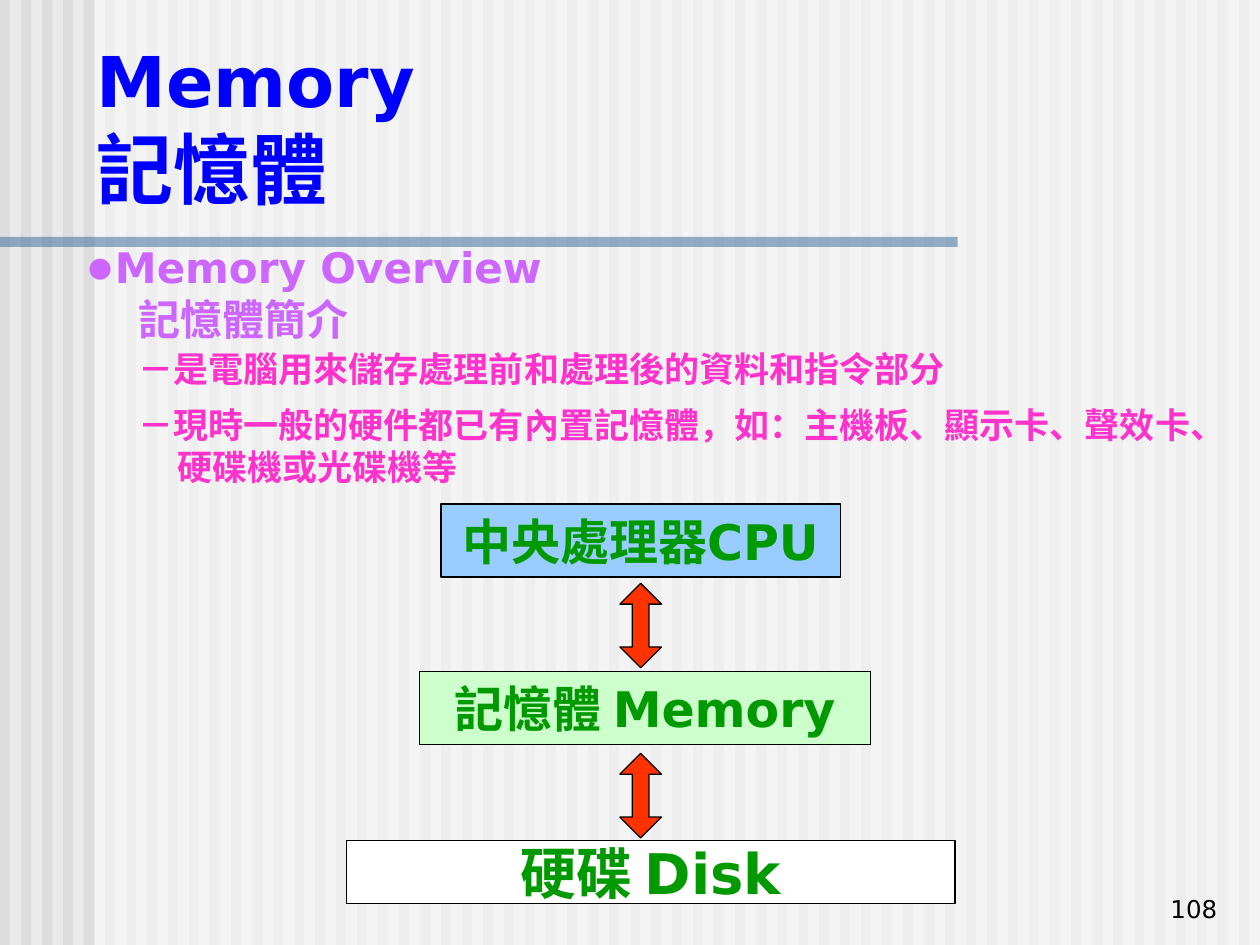
from lxml import etree
from pptx import Presentation
from pptx.dml.color import RGBColor
from pptx.enum.shapes import MSO_SHAPE as SHAPE
from pptx.enum.text import MSO_ANCHOR as ANCHOR, MSO_AUTO_SIZE as FIT, PP_ALIGN as ALIGN
from pptx.oxml.ns import qn
from pptx.util import Inches, Pt


def color(hex_code):
    return RGBColor.from_string(hex_code)


class Deck:
    font = "DejaVu Sans"
    line = "000000"
    label = "009900"

    def __init__(self, prs, background):
        self.s = prs.slides.add_slide(prs.slide_layouts[6])
        self.s.background.fill.solid()
        self.s.background.fill.fore_color.rgb = color(background)

    def style(self, r, size, hex_code, bold=True, font=None):
        r.font.name = font or self.font
        r.font.size = Pt(size)
        r.font.bold = bold
        r.font.color.rgb = color(hex_code)

    def shape(self, kind, box, fill, outlined=False, alpha=None):
        sp = self.s.shapes.add_shape(kind, *map(Inches, box))
        sp.shadow.inherit = False
        sp.fill.solid()
        sp.fill.fore_color.rgb = color(fill)
        if outlined:
            sp.line.color.rgb = color(self.line)
            sp.line.width = Pt(0.75)
        else:
            sp.line.fill.background()
        if alpha is not None:
            clr = next(sp.fill._xPr.iter(qn("a:srgbClr")))
            etree.SubElement(clr, qn("a:alpha")).set("val", str(alpha * 1000))
        return sp

    def block(self, box, fill, text, size):
        sp = self.shape(SHAPE.RECTANGLE, box, fill, outlined=True)
        tf = sp.text_frame
        tf.text = text
        tf.word_wrap = False
        tf.vertical_anchor = ANCHOR.MIDDLE
        p = tf.paragraphs[0]
        p.alignment = ALIGN.CENTER
        self.style(p.runs[0], size, self.label)

    def arrow(self, left, top):
        sp = self.shape(SHAPE.UP_DOWN_ARROW, (left, top, 0.33, 0.67), "FF3300", outlined=True)
        sp.adjustments[0] = 0.5
        sp.adjustments[1] = 0.4

    def text(self, box, text, sizes, hex_code, indent=0, bold=True):
        tf = self.s.shapes.add_textbox(*map(Inches, box)).text_frame
        tf.text = text
        tf.word_wrap = True
        tf.auto_size = FIT.SHAPE_TO_FIT_TEXT
        p = tf.paragraphs[0]
        if indent:
            pPr = p._p.get_or_add_pPr()
            pPr.set("marL", str(Inches(indent)))
            pPr.set("indent", str(-Inches(indent)))
        for r, size in zip(p.runs, sizes):
            self.style(r, size, hex_code, bold)
        return tf


def main():
    prs = Presentation()
    prs.slide_width, prs.slide_height = Inches(10), Inches(7.5)
    deck = Deck(prs, "EAEAEA")

    # Striped background, pale veil and title rule
    for i in range(60):
        deck.shape(SHAPE.RECTANGLE, (i / 6, 0, 0.08, 7.5), "DDDDDD")
    deck.shape(SHAPE.RECTANGLE, (0.75, 0, 9.25, 7.5), "FFFFFF", alpha=50)
    deck.shape(SHAPE.RECTANGLE, (0, 1.88, 7.6, 0.08), "336699", alpha=50)

    # Title and overview
    deck.text((0.67, 0.25, 8.75, 1.5), "Memory\v記憶體", (40, 44), "0000FF")
    tf = deck.text((0.58, 1.81, 9.17, 0.97), "●", (28,), "CC66FF", indent=0.42)
    p = tf.paragraphs[0]
    p.runs[0].font.name = "Arial"
    for i, words in enumerate(("Memory Overview", "記憶體簡介")):
        if i:
            p.add_line_break()
        r = p.add_run()
        r.text = words
        deck.style(r, 24, "CC66FF")

    # Details
    deck.text((1, 2.71, 8.75, 0.44), "－是電腦用來儲存處理前和處理後的資料和指令部分",
              (20,), "FF33CC", indent=0.42)
    deck.text((1, 3.15, 8.75, 0.77),
              "－現時一般的硬件都已有內置記憶體，如：主機板、顯示卡、聲效卡、硬碟機或光碟機等",
              (20,), "FF33CC", indent=0.31)

    # Data flow between CPU, memory and disk
    deck.block((3.5, 4, 3.17, 0.58), "99CCFF", "中央處理器CPU", 28)
    deck.block((3.33, 5.33, 3.58, 0.58), "CCFFCC", "記憶體 Memory", 28)
    deck.block((2.75, 6.67, 4.83, 0.5), "FFFFFF", "硬碟 Disk", 32)
    for top in (4.63, 5.98):
        deck.arrow(4.92, top)

    # Page number
    tf = deck.text((7.68, 6.88, 2.08, 0.5), "108", (14,), "000000", bold=False)
    tf.auto_size = FIT.NONE
    tf.vertical_anchor = ANCHOR.BOTTOM
    tf.paragraphs[0].alignment = ALIGN.RIGHT

    prs.save("out.pptx")


if __name__ == "__main__":
    main()
